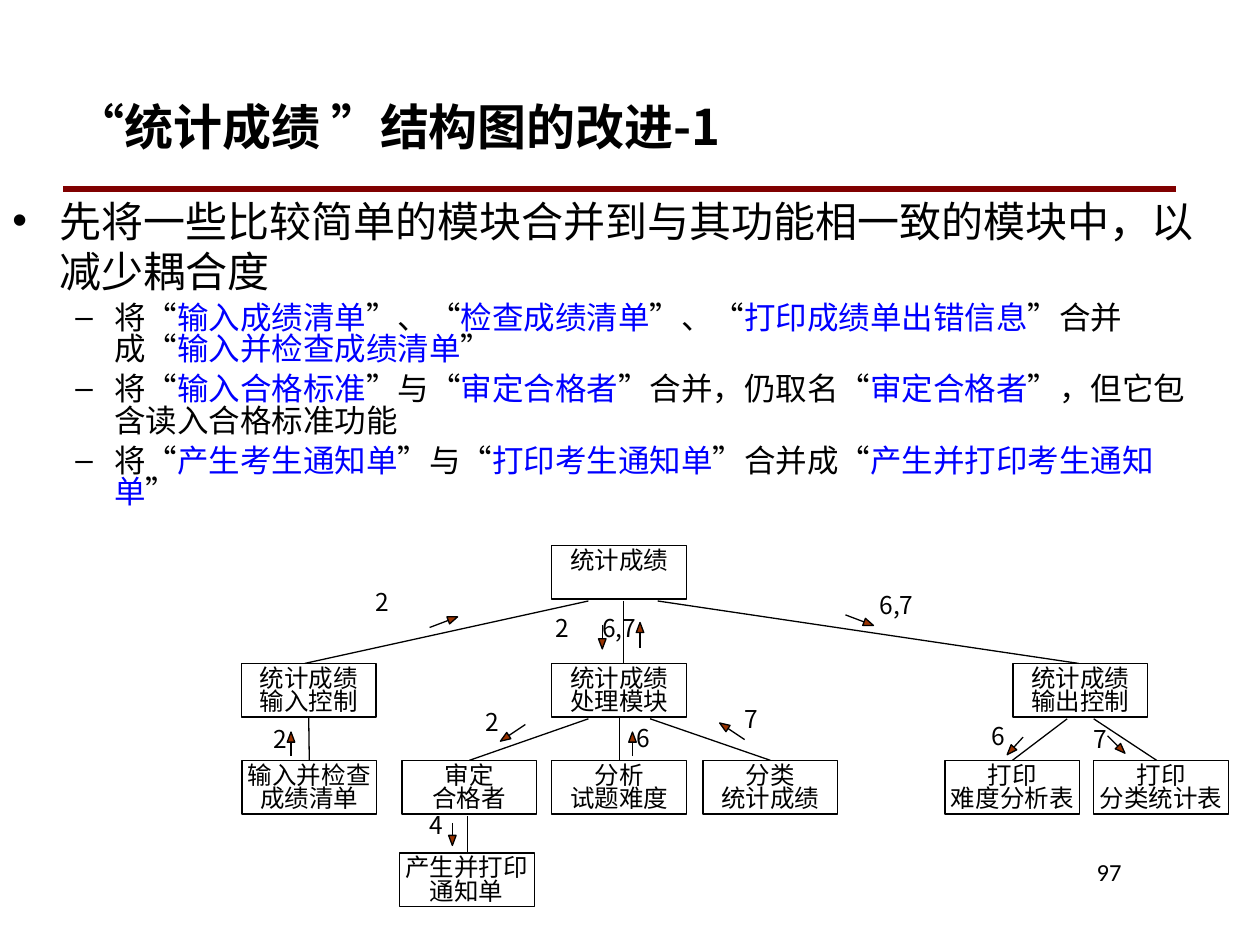
import math
from typing import Any, NamedTuple, Optional

import pptx
import pptx.dml.color
import pptx.enum.shapes
import pptx.enum.text
import pptx.oxml.ns
import pptx.util

Align = pptx.enum.text.PP_ALIGN
Anchor = pptx.enum.text.MSO_ANCHOR
Kind = pptx.enum.shapes.MSO_SHAPE
COLS, ROWS = 100, 75
WIDE, HIGH = pptx.util.Inches(10), pptx.util.Inches(7.5)
BOX_W, BOX_H = 10.7, 4.25
HEAD_W, HEAD_H = 0.6, 0.8
TOP, MID, LOW = 43.3, 52.65, 60.35

class Theme(NamedTuple):
    ink: str = "000000"
    mark: str = "0000FF"
    rule: str = "800000"
    head: str = "993300"
    sans: str = "Calibri"
    serif: str = "Times New Roman"
    cjk: str = "Noto Sans CJK SC"
    title: float = 28
    lead: float = 24
    item: float = 18
    small: float = 14
    thin: float = 0.75
    thick: float = 3

class Box(NamedTuple):
    text: str
    x: float
    y: float

class Link(NamedTuple):
    top: str
    low: str
    start: Optional[float] = None
    end: Optional[float] = None

class Flow(NamedTuple):
    text: str
    x: float
    y: float
    tail: tuple[float, float]
    head: tuple[float, float]

THEME = Theme()
BOXES = {
    "root": Box("统计成绩", 43.8, TOP),
    "input": Box("统计成绩\n输入控制", 19.15, MID),
    "work": Box("统计成绩\n处理模块", 43.8, MID),
    "output": Box("统计成绩\n输出控制", 80.4, MID),
    "check": Box("输入并检查\n成绩清单", 19.2, LOW),
    "judge": Box("审定\n合格者", 31.9, LOW),
    "study": Box("分析\n试题难度", 43.8, LOW),
    "sort": Box("分类\n统计成绩", 55.8, LOW),
    "level": Box("打印\n难度分析表", 75, LOW),
    "table": Box("打印\n分类统计表", 86.8, LOW),
    "notice": Box("产生并打印\n通知单", 31.7, 67.7),
}
LINKS = [
    Link("root", "input", 46.7, 24.2), Link("root", "work", 49.5, 49.5),
    Link("root", "output", 52.2, 85.6), Link("input", "check"),
    Link("work", "judge", 46.7), Link("work", "study"), Link("work", "sort", 51.6),
    Link("output", "level", 84.7), Link("output", "table", 86.8, 91.8),
    Link("judge", "notice", 37.1, 37.1),
]
FLOWS = [
    Flow("2", 29.4, 46.6, (34.1, 49.8), (35.95, 49.1)),
    Flow("2", 43.7, 48.7, (47.8, 49.6), (47.8, 51.1)),
    Flow("6,7", 47.4, 48.7, (50.8, 51.4), (50.8, 49.8)),
    Flow("6,7", 69.4, 46.9, (67.1, 48.8), (68.95, 49.5)),
    Flow("2", 21.3, 57.5, (23.1, 60), (23.1, 58.5)),
    Flow("2", 38.1, 56.2, (41.7, 57.5), (40.05, 58.6)),
    Flow("6", 50.1, 57.4, (50.2, 60), (50.2, 58.5)),
    Flow("7", 58.7, 55.9, (59.1, 58.7), (57.45, 57.6)),
    Flow("6", 78.3, 57.3, (81.2, 58.5), (80.2, 59.6)),
    Flow("7", 86.4, 57.5, (87.9, 58.4), (89, 59.5)),
    Flow("4", 33.7, 64.3, (35.9, 65.3), (35.9, 66.7)),
]
LEAD = "先将一些比较简单的模块合并到与其功能相一致的模块中，以减少耦合度"
ITEMS = [
    "将“|输入成绩清单|”、“|检查成绩清单|”、“|打印成绩单出错信息|”合并成“|输入并检查成绩清单|”",
    "将“|输入合格标准|”与“|审定合格者|”合并，仍取名“|审定合格者|”，但它包含读入合格标准功能",
    "将“|产生考生通知单|”与“|打印考生通知单|”合并成“|产生并打印考生通知单|”",
]

def col(n: float) -> int:
    return round(WIDE * n / COLS)

def row(n: float) -> int:
    return round(HIGH * n / ROWS)

def tint(code: str) -> Any:
    return pptx.dml.color.RGBColor.from_string(code)

def style(para: Any, face: str, size: float, east: str) -> None:
    para.font.name = face
    para.font.size = pptx.util.Pt(size)
    para.font.color.rgb = tint(THEME.ink)
    latin = para._p.pPr.find(".//" + pptx.oxml.ns.qn("a:latin"))
    latin.addnext(latin.makeelement(pptx.oxml.ns.qn("a:ea"), {"typeface": east}))

def frame(item: Any, x: float, y: float, anchor: Any = Anchor.TOP) -> Any:
    text = item.text_frame
    text.word_wrap = True
    text.vertical_anchor = anchor
    text.margin_left = text.margin_right = col(x)
    text.margin_top = text.margin_bottom = row(y)
    return text

def area(slide: Any, x: float, y: float, w: float, h: float) -> Any:
    return slide.shapes.add_textbox(col(x), row(y), col(w), row(h))

def bullet(para: Any, mark: str, left: float, hang: float) -> None:
    props = para._p.get_or_add_pPr()
    props.set("marL", str(col(left)))
    props.set("indent", str(-col(hang)))
    for tag, key, value in (("a:buFont", "typeface", "Arial"), ("a:buChar", "char", mark)):
        props.append(props.makeelement(pptx.oxml.ns.qn(tag), {key: value}))

def line(slide: Any, start: tuple[float, float], end: tuple[float, float],
         code: str = THEME.ink, width: float = THEME.thin) -> Any:
    kind = pptx.enum.shapes.MSO_CONNECTOR.STRAIGHT
    wire = slide.shapes.add_connector(kind, col(start[0]), row(start[1]), col(end[0]), row(end[1]))
    wire.line.color.rgb = tint(code)
    wire.line.width = pptx.util.Pt(width)
    props = wire._element.spPr
    props.append(props.makeelement(pptx.oxml.ns.qn("a:effectLst")))
    return wire

def shape(slide: Any, kind: Any, x: float, y: float, w: float, h: float) -> Any:
    item = slide.shapes.add_shape(kind, col(x), row(y), col(w), row(h))
    item.shadow.inherit = False
    item.line.color.rgb = tint(THEME.ink)
    item.line.width = pptx.util.Pt(THEME.thin)
    return item

def draw_box(slide: Any, box: Box) -> Any:
    item = shape(slide, Kind.RECTANGLE, box.x, box.y, BOX_W, BOX_H)
    item.fill.background()
    text = frame(item, 0.2, 0.4)
    text.text = box.text
    for para in text.paragraphs:
        para.alignment = Align.CENTER
        para.line_spacing = 0.8
        style(para, THEME.serif, THEME.small, THEME.sans)
    return item

def draw_link(slide: Any, link: Link, items: dict[str, Any]) -> None:
    top, low = BOXES[link.top], BOXES[link.low]
    start, end = link.start or top.x + BOX_W / 2, link.end or low.x + BOX_W / 2
    wire = line(slide, (start, top.y + BOX_H + 0.15), (end, low.y))
    if link.start is None:
        wire.begin_connect(items[link.top], 2)
    if link.end is None:
        wire.end_connect(items[link.low], 0)

def draw_flow(slide: Any, flow: Flow) -> None:
    (x, y), (u, v) = flow.tail, flow.head
    line(slide, flow.tail, flow.head)
    tip = shape(slide, Kind.ISOSCELES_TRIANGLE, u - HEAD_W / 2, v - HEAD_H / 2, HEAD_W, HEAD_H)
    tip.fill.solid()
    tip.fill.fore_color.rgb = tint(THEME.head)
    tip.rotation = math.degrees(math.atan2(u - x, y - v))
    para = frame(area(slide, flow.x, flow.y, 5, 3.4), 0.4, 0.4).paragraphs[0]
    para.text, para.line_spacing = flow.text, 0.8
    style(para, THEME.cjk, THEME.small, THEME.cjk)

def draw_text(slide: Any) -> None:
    para = frame(area(slide, 5, 5, 88.3, 10), 1, 0.5, Anchor.MIDDLE).paragraphs[0]
    para.text = "“统计成绩 ”结构图的改进-1"
    style(para, THEME.cjk, THEME.title, THEME.cjk)
    para.font.bold = True
    body = frame(area(slide, 0, 15, 97.5, 51.7), 1, 0.5)
    body.text = LEAD
    bullet(body.paragraphs[0], "•", 3.75, 3.75)
    style(body.paragraphs[0], THEME.sans, THEME.lead, THEME.sans)
    for item in ITEMS:
        para = body.add_paragraph()
        para.level, para.line_spacing = 1, 0.84
        para.space_before = pptx.util.Pt(4.5)
        bullet(para, "–", 8.1, 3.1)
        style(para, THEME.sans, THEME.item, THEME.cjk)
        for n, part in enumerate(item.split("|")):
            run = para.add_run()
            run.text = part
            run.font.color.rgb = tint(THEME.mark if n % 2 else THEME.ink)
    para = frame(area(slide, 75.8, 67.5, 14.2, 5), 1, 0.5).paragraphs[0]
    para.text, para.alignment = "97", Align.RIGHT
    style(para, THEME.sans, THEME.small, THEME.sans)

deck = pptx.Presentation()
deck.slide_width, deck.slide_height = WIDE, HIGH
page = deck.slides.add_slide(deck.slide_layouts[6])
line(page, (5, 15), (93.3, 15), THEME.rule, THEME.thick)
draw_text(page)
drawn = {name: draw_box(page, box) for name, box in BOXES.items()}
for link in LINKS:
    draw_link(page, link, drawn)
for flow in FLOWS:
    draw_flow(page, flow)
deck.save("out.pptx")
